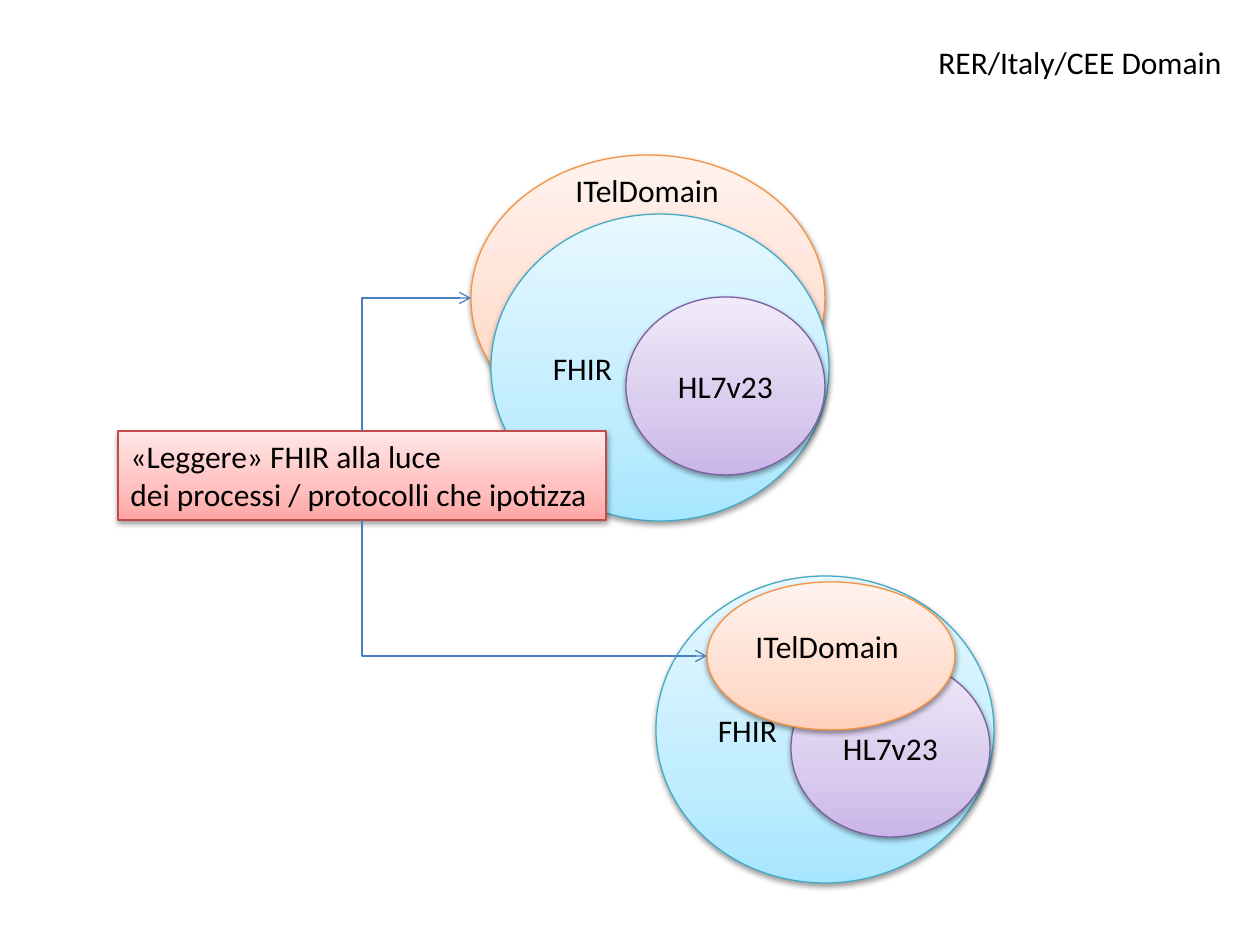
from dataclasses import dataclass

from lxml import etree
from pptx import Presentation
from pptx.dml.color import RGBColor
from pptx.enum.shapes import MSO_CONNECTOR, MSO_SHAPE
from pptx.enum.text import MSO_ANCHOR, MSO_AUTO_SIZE, PP_ALIGN
from pptx.oxml.ns import qn
from pptx.util import Emu, Pt

OVAL, RECTANGLE = MSO_SHAPE.OVAL, MSO_SHAPE.RECTANGLE
ELBOW = MSO_CONNECTOR.ELBOW
TOP, MIDDLE = MSO_ANCHOR.TOP, MSO_ANCHOR.MIDDLE
LEFT, CENTER = PP_ALIGN.LEFT, PP_ALIGN.CENTER
FIT_SHAPE = MSO_AUTO_SIZE.SHAPE_TO_FIT_TEXT

EMU_PER_PX = 914400 / 126
COLORS = {
    "text": "000000",
    "shadow": "000000",
    "arrow": "4B7EBC",
    "orange_line": "F69240",
    "blue_line": "46AAC5",
    "purple_line": "7D60A0",
    "red_line": "BF4C48",
}
GRADIENTS = {
    "orange": {0: "FFD2BD", 35: "FFDED0", 100: "FFF2ED"},
    "blue": {0: "A7E6FF", 35: "C1EDFF", 100: "E7F8FF"},
    "purple": {0: "C9B5E8", 35: "D8CBEE", 100: "F0EAF9"},
    "red": {0: "FFA6A5", 35: "FFC0BF", 100: "FFE7E7"},
}


@dataclass(frozen=True)
class Box:
    left: int
    top: int
    width: int
    height: int

    def moved(self, dx: int, dy: int) -> "Box":
        return Box(self.left + dx, self.top + dy, self.width, self.height)

    def emu(self) -> tuple:
        return tuple(px(n) for n in (self.left, self.top, self.width, self.height))


@dataclass(frozen=True)
class Panel:
    box: Box
    color: str
    text: str = ""
    align: PP_ALIGN = LEFT
    anchor: MSO_ANCHOR = MIDDLE
    geometry: MSO_SHAPE = OVAL


@dataclass(frozen=True)
class Bend:
    x: int
    y: int
    end_x: int
    end_y: int


def px(length: float) -> Emu:
    return Emu(round(length * EMU_PER_PX))


def format_text(frame, align: PP_ALIGN) -> None:
    for paragraph in frame.paragraphs:
        paragraph.alignment = align
        for run in paragraph.runs:
            run.font.size = Pt(18)
            run.font.name = "Calibri"
            run.font.color.rgb = RGBColor.from_string(COLORS["text"])


def fit_to_text(frame) -> None:
    frame.word_wrap = False
    frame.auto_size = FIT_SHAPE


def add_color(parent, color: str):
    return etree.SubElement(parent, qn("a:srgbClr"), val=color)


def apply_gradient(shape, color: str) -> None:
    shape.fill.gradient()
    shape.fill.gradient_angle = 90
    stops = shape._element.spPr.find(".//" + qn("a:gsLst"))
    for stop in list(stops):
        stops.remove(stop)
    for percent, shade in GRADIENTS[color].items():
        add_color(etree.SubElement(stops, qn("a:gs"), pos=str(percent * 1000)), shade)


def apply_shadow(shape) -> None:
    shape.shadow.inherit = False
    effects = shape._element.spPr.find(qn("a:effectLst"))
    outer = etree.SubElement(effects, qn("a:outerShdw"), blurRad="40000",
                             dist="20000", dir="5400000", rotWithShape="0")
    etree.SubElement(add_color(outer, COLORS["shadow"]), qn("a:alpha"), val="38000")


def draw_panel(slide, panel: Panel):
    shape = slide.shapes.add_shape(panel.geometry, *panel.box.emu())
    apply_gradient(shape, panel.color)
    shape.line.color.rgb = RGBColor.from_string(COLORS[panel.color + "_line"])
    shape.line.width = Pt(0.75)
    apply_shadow(shape)
    if panel.text:
        shape.text_frame.text = panel.text
        shape.text_frame.vertical_anchor = panel.anchor
        format_text(shape.text_frame, panel.align)
    return shape


def draw_label(slide, box: Box, text: str) -> None:
    frame = slide.shapes.add_textbox(*box.emu()).text_frame
    frame.text = text
    fit_to_text(frame)
    format_text(frame, LEFT)


def draw_bend(slide, bend: Bend) -> None:
    across, along = bend.end_x - bend.x, abs(bend.end_y - bend.y)
    upward = bend.end_y < bend.y
    left = (bend.x + bend.end_x - along) / 2
    top = (bend.y + bend.end_y - across) / 2
    arrow = slide.shapes.add_connector(
        ELBOW, px(left), px(top), px(left + along), px(top + across))
    arrow.line.color.rgb = RGBColor.from_string(COLORS["arrow"])
    arrow.line.width = Pt(0.75)
    properties = arrow._element.spPr
    properties.find(qn("a:prstGeom")).set("prst", "bentConnector2")
    transform = properties.find(qn("a:xfrm"))
    transform.set("rot", "5400000" if upward else "16200000")
    transform.set("flipH", "1")
    if upward:
        transform.set("flipV", "1")
    etree.SubElement(properties.find(qn("a:ln")), qn("a:tailEnd"), type="arrow")
    etree.SubElement(properties, qn("a:effectLst"))


def draw_standards(slide, dx: int, dy: int) -> None:
    draw_panel(slide, Panel(Box(491, 214, 338, 307).moved(dx, dy), "blue", "FHIR"))
    draw_panel(slide, Panel(Box(626, 297, 199, 178).moved(dx, dy),
                            "purple", "HL7v23", CENTER))


def main() -> None:
    presentation = Presentation()
    presentation.slide_width, presentation.slide_height = px(1260), px(945)
    slide = presentation.slides.add_slide(presentation.slide_layouts[6])

    draw_panel(slide, Panel(Box(471, 155, 354, 287), "orange"))
    draw_standards(slide, 0, 0)
    draw_label(slide, Box(563, 165, 170, 51), "ITelDomain")
    draw_label(slide, Box(926, 37, 311, 51), "RER/Italy/CEE Domain")

    advice = draw_panel(slide, Panel(
        Box(118, 431, 488, 89), "red",
        "«Leggere» FHIR alla luce\ndei processi / protocolli che ipotizza",
        LEFT, TOP, RECTANGLE))
    fit_to_text(advice.text_frame)
    draw_bend(slide, Bend(362, 431, 471, 298))

    draw_standards(slide, 165, 362)
    draw_panel(slide, Panel(Box(707, 582, 248, 148), "orange"))
    draw_label(slide, Box(743, 621, 170, 51), "ITelDomain")
    draw_bend(slide, Bend(362, 520, 707, 656))

    presentation.save("out.pptx")


if __name__ == "__main__":
    main()
